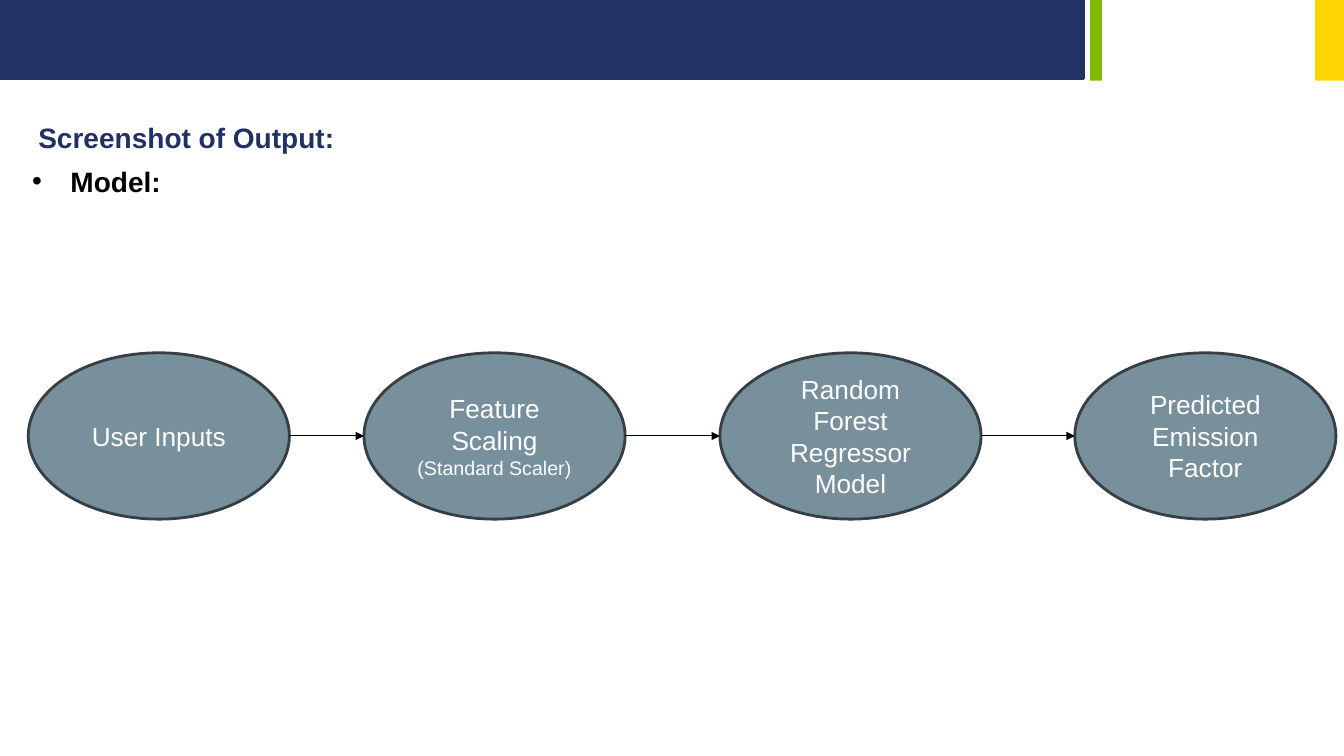
import pptx
import pptx.util
import pptx.dml.color
import pptx.enum.shapes
import pptx.enum.text
import pptx.oxml.ns
from lxml import etree

Inches = pptx.util.Inches
Pt = pptx.util.Pt
Shape = pptx.enum.shapes.MSO_SHAPE

COLORS = {
    "navy": "213264",
    "heading": "213163",
    "green": "7FBA00",
    "yellow": "FED500",
    "stage": "78909C",
    "outline": "353F44",
    "black": "000000",
    "white": "FFFFFF",
}
STAGES = [
    (0.28, [("User Inputs", 18.7)]),
    (3.61, [("Feature Scaling", 18.7), ("(Standard Scaler)", 14)]),
    (7.14, [("Random Forest Regressor Model", 18.7)]),
    (10.66, [("Predicted Emission Factor", 18.7)]),
]


def rgb(name):
    """Return the palette colour with the given name."""
    return pptx.dml.color.RGBColor.from_string(COLORS[name])


def add_run(paragraph, text, size, color, bold=False):
    """Append one formatted run to a paragraph."""
    run = paragraph.add_run()
    run.text = text
    run.font.name = "Arial"
    run.font.size = Pt(size)
    run.font.bold = bold
    run.font.color.rgb = rgb(color)


def add_filled(slide, kind, box, fill, outline=None):
    """Add a filled preset shape, outlined when a colour is given."""
    shape = slide.shapes.add_shape(kind, *map(Inches, box))
    shape.shadow.inherit = False
    shape.fill.solid()
    shape.fill.fore_color.rgb = rgb(fill)
    if outline:
        shape.line.color.rgb = rgb(outline)
        shape.line.width = Pt(2)
    else:
        shape.line.fill.background()
    return shape


def add_banner(slide, left, top, width, height):
    """Draw the navy band with its green and yellow bars."""
    add_filled(slide, Shape.RECTANGLE, (left, top, 10.75, height - 0.02), "navy", "navy")
    add_filled(slide, Shape.RECTANGLE, (left + 10.81, top, 0.12, height), "green")
    add_filled(slide, Shape.RECTANGLE, (left + width - 0.29, top, 0.29, height), "yellow")


def add_heading(slide, left, top, width, height):
    """Place the title and the bulleted line beneath it."""
    title = slide.shapes.title
    title.left, title.top, title.width, title.height = map(
        Inches, (left, top, width, height))
    title_frame = title.text_frame
    title_frame.auto_size = pptx.enum.text.MSO_AUTO_SIZE.NONE
    title_frame.vertical_anchor = pptx.enum.text.MSO_ANCHOR.TOP
    title_line = title_frame.paragraphs[0]
    title_line.alignment = pptx.enum.text.PP_ALIGN.LEFT
    add_run(title_line, "Screenshot of Output:", 20, "heading", True)

    model = slide.shapes.add_textbox(
        *map(Inches, (left - 0.06, top + 0.43, 7.31, 0.77)))
    model.text_frame.word_wrap = True
    model_line = model.text_frame.paragraphs[0]
    add_run(model_line, "Model:", 20, "black", True)
    properties = model_line._p.get_or_add_pPr()
    properties.set("marL", str(Inches(0.38)))
    properties.set("indent", str(-Inches(0.38)))
    qn = pptx.oxml.ns.qn
    bullet_color = etree.SubElement(properties, qn("a:buClr"))
    etree.SubElement(bullet_color, qn("a:srgbClr"), val=COLORS["black"])
    etree.SubElement(properties, qn("a:buFont"), typeface="Arial")
    etree.SubElement(properties, qn("a:buChar"), char="•")


def add_stage(slide, left, top, width, height, label):
    """Draw one ellipse of the pipeline with its label."""
    stage = add_filled(slide, Shape.OVAL, (left, top, width, height), "stage", "outline")
    frame = stage.text_frame
    frame.word_wrap = True
    frame.vertical_anchor = pptx.enum.text.MSO_ANCHOR.MIDDLE
    paragraph = frame.paragraphs[0]
    paragraph.alignment = pptx.enum.text.PP_ALIGN.CENTER
    for index, (text, size) in enumerate(label):
        if index:
            paragraph.add_line_break()
        add_run(paragraph, text, size, "white")


def add_arrow(slide, start, end, middle):
    """Draw a horizontal arrow between two stages."""
    arrow = slide.shapes.add_connector(
        pptx.enum.shapes.MSO_CONNECTOR.STRAIGHT,
        *map(Inches, (start, middle, end, middle)))
    arrow.line.color.rgb = rgb("black")
    arrow.line.width = Pt(0.75)
    qn = pptx.oxml.ns.qn
    etree.SubElement(arrow.line._get_or_add_ln(), qn("a:tailEnd"), type="triangle")
    etree.SubElement(arrow._element.spPr, qn("a:effectLst"))


def add_pipeline(slide, top, width, height):
    """Draw the stages and the arrows that join them."""
    for left, label in STAGES:
        add_stage(slide, left, top, width, height, label)
    for (left, _), (following, _) in zip(STAGES, STAGES[1:]):
        add_arrow(slide, left + width, following, top + height / 2)


def main():
    """Build and save the slide."""
    deck = pptx.Presentation()
    deck.slide_width, deck.slide_height = Inches(13.33), Inches(7.5)
    slide = deck.slides.add_slide(deck.slide_layouts[5])
    add_banner(slide, 0, 0, 13.33, 0.8)
    add_heading(slide, 0.28, 1.15, 6.67, 0.44)
    add_pipeline(slide, 3.5, 2.59, 1.65)
    deck.save("out.pptx")


if __name__ == "__main__":
    main()
